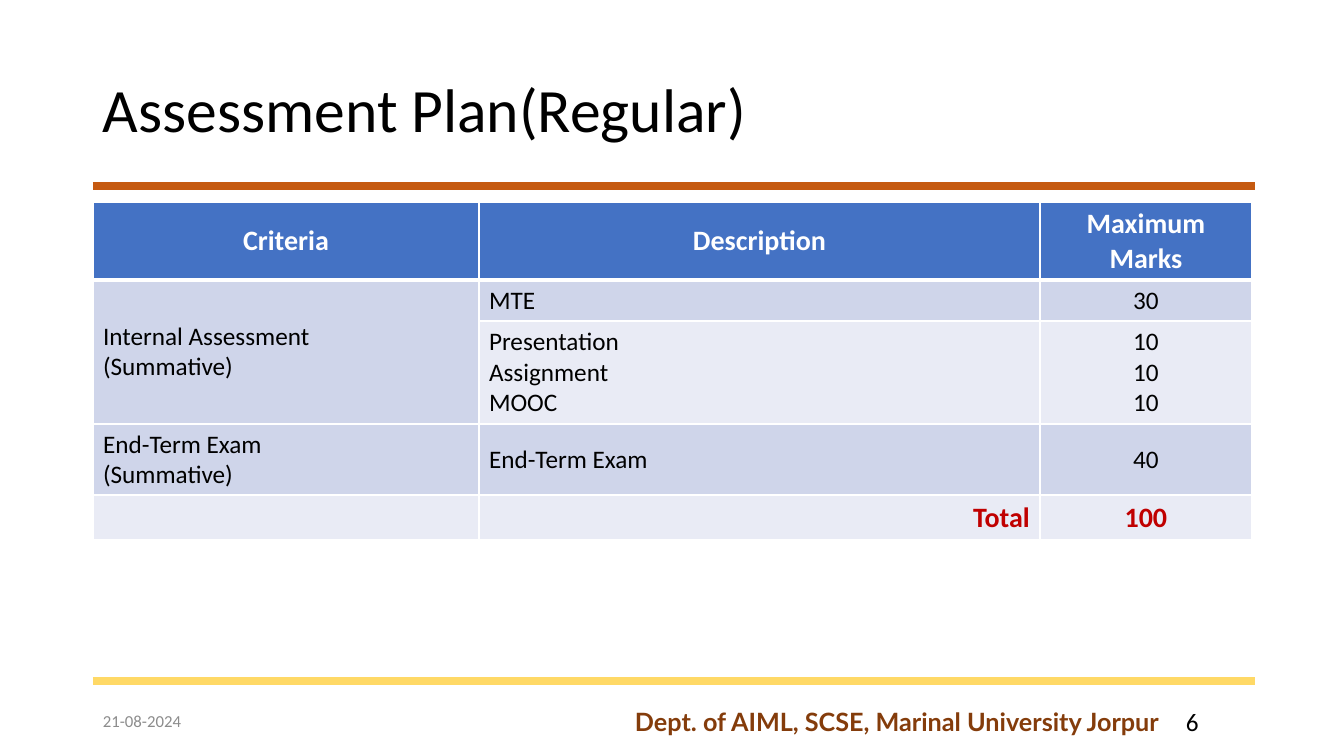
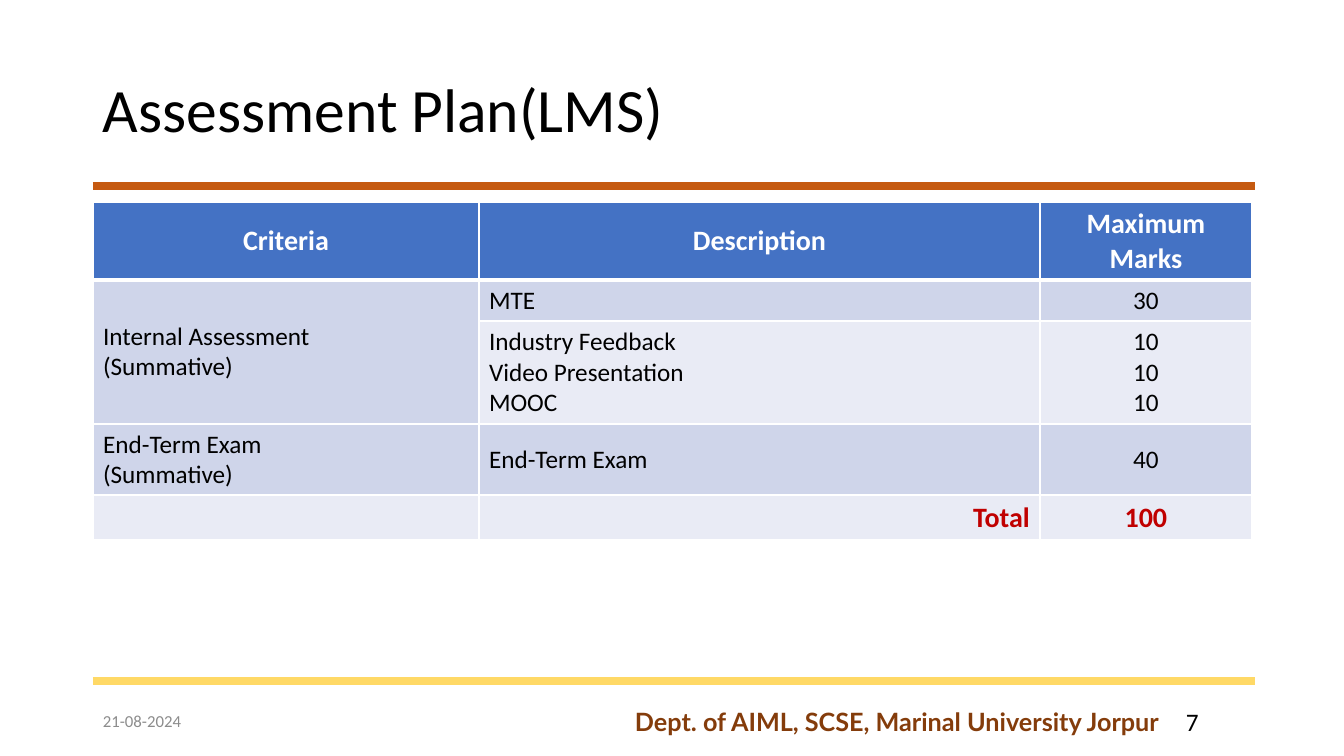
from lxml import etree
from pptx import Presentation
from pptx import util as u
from pptx.dml.color import RGBColor
from pptx.enum import shapes, text
from pptx.oxml.ns import qn

WIDTH, HEIGHT = 1344, 756
SCALE = u.Inches(7.5) / HEIGHT
LEFT, CENTER, RIGHT = text.PP_ALIGN.LEFT, text.PP_ALIGN.CENTER, text.PP_ALIGN.RIGHT
MIDDLE, TOP = text.MSO_ANCHOR.MIDDLE, text.MSO_ANCHOR.TOP


def px(length):
    return u.Emu(round(length * SCALE))


def color(value):
    return RGBColor.from_string(value)


class Deck:
    BODY_FONT, FOOTER_FONT = "Calibri", "Lato"
    BLACK, WHITE, GRAY = "000000", "FFFFFF", "8C8C8C"
    ORANGE, GOLD, BROWN, RED = "C55A11", "FFD966", "843C0B", "C00000"
    HEADER, BANDS = "4472C4", ("CFD5EA", "E9EBF5")
    MARGIN, CONTENT = 93, 1159
    DATE = "21-08-2024"
    DEPARTMENT = "Dept. of AIML, SCSE, Marinal University Jorpur"

    def __init__(self):
        self.prs = Presentation()
        self.prs.slide_width, self.prs.slide_height = px(WIDTH), px(HEIGHT)
        self.slide = None

    def add_slide(self, title, number):
        self.slide = self.prs.slides.add_slide(self.prs.slide_layouts[6])
        # Rules above and below the content
        self.rule(186, self.ORANGE)
        self.rule(681, self.GOLD)
        # Title
        self.label(title, self.MARGIN, 40, self.CONTENT, 146, 44, anchor=MIDDLE, spacing=0.9)
        # Footer
        self.label(self.DATE, self.MARGIN, 701, 302, 40, 12, self.GRAY, anchor=MIDDLE)
        self.label(str(number), 1176, 701, 75, 40, 18)
        self.label(self.DEPARTMENT, 446, 701, 723, 40, 18, self.BROWN,
                   bold=True, align=RIGHT, font=self.FOOTER_FONT)

    def rule(self, y, hue):
        line = self.slide.shapes.add_connector(
            shapes.MSO_CONNECTOR.STRAIGHT, px(self.MARGIN), px(y), px(1255), px(y))
        line.line.color.rgb = color(hue)
        line.line.width = u.Pt(6)
        etree.SubElement(line._element.spPr, qn("a:effectLst"))

    def set_text(self, frame, words, size, hue=BLACK, bold=False, align=LEFT,
                 font=BODY_FONT, spacing=None):
        for i, line in enumerate(words.split("\n")):
            paragraph = frame.add_paragraph() if i else frame.paragraphs[0]
            paragraph.text = line
            paragraph.alignment = align
            paragraph.line_spacing = spacing
            paragraph.font.name = font
            paragraph.font.size = u.Pt(size)
            paragraph.font.bold = bold
            paragraph.font.color.rgb = color(hue)

    def label(self, words, x, y, width, height, size, hue=BLACK, anchor=TOP, **style):
        frame = self.slide.shapes.add_textbox(px(x), px(y), px(width), px(height)).text_frame
        frame.word_wrap = True
        frame.vertical_anchor = anchor
        self.set_text(frame, words, size, hue, **style)

    def borders(self, cell, top, bottom):
        properties = cell._tc.get_or_add_tcPr()
        for side, points in (("L", 1), ("R", 1), ("T", top), ("B", bottom)):
            edge = etree.SubElement(properties, qn("a:ln" + side), w=str(u.Pt(points)))
            fill = etree.SubElement(edge, qn("a:solidFill"))
            etree.SubElement(fill, qn("a:srgbClr"), val=self.WHITE)

    def marks_table(self, rows):
        widths, heights = (386, 561, 212), (78, 41, 103, 71, 45)
        table = self.slide.shapes.add_table(
            len(rows), len(widths), px(self.MARGIN), px(202),
            px(sum(widths)), px(sum(heights))).table
        table.first_row = table.horz_banding = False
        for column, width in zip(table.columns, widths):
            column.width = px(width)
        for row, height in zip(table.rows, heights):
            row.height = px(height)

        last = len(rows) - 1
        for r, row in enumerate(rows):
            for c, words in enumerate(row):
                cell = table.cell(r, c)
                self.borders(cell, 3 if r == 1 else 1, 3 if r == 0 else 1)
                cell.fill.solid()
                cell.fill.fore_color.rgb = color(self.BANDS[(r - 1) % 2] if r else self.HEADER)
                cell.vertical_anchor = MIDDLE
                if r == 0:
                    style = dict(size=20, hue=self.WHITE, bold=True, align=CENTER)
                elif r == last:
                    style = dict(size=20, hue=self.RED, bold=True,
                                 align=CENTER if c == 2 else RIGHT)
                else:
                    style = dict(size=18, align=CENTER if c == 2 else LEFT)
                if words:
                    self.set_text(cell.text_frame, words, **style)
        # Internal assessment covers two rows
        table.cell(1, 0).merge(table.cell(2, 0))


def assessment_rows(coursework):
    return [
        ("Criteria", "Description", "Maximum Marks"),
        ("Internal Assessment\n(Summative)", "MTE", "30"),
        ("", coursework, "10\n10\n10"),
        ("End-Term Exam\n(Summative)", "End-Term Exam", "40"),
        ("", "Total", "100"),
    ]


def main():
    deck = Deck()
    plans = [
        ("Regular", "Presentation\nAssignment\nMOOC"),
        ("LMS", "Industry Feedback\nVideo Presentation\nMOOC"),
    ]
    for number, (mode, coursework) in enumerate(plans, start=6):
        deck.add_slide(f"Assessment Plan({mode})", number)
        deck.marks_table(assessment_rows(coursework))
    deck.prs.save("out.pptx")


if __name__ == "__main__":
    main()
